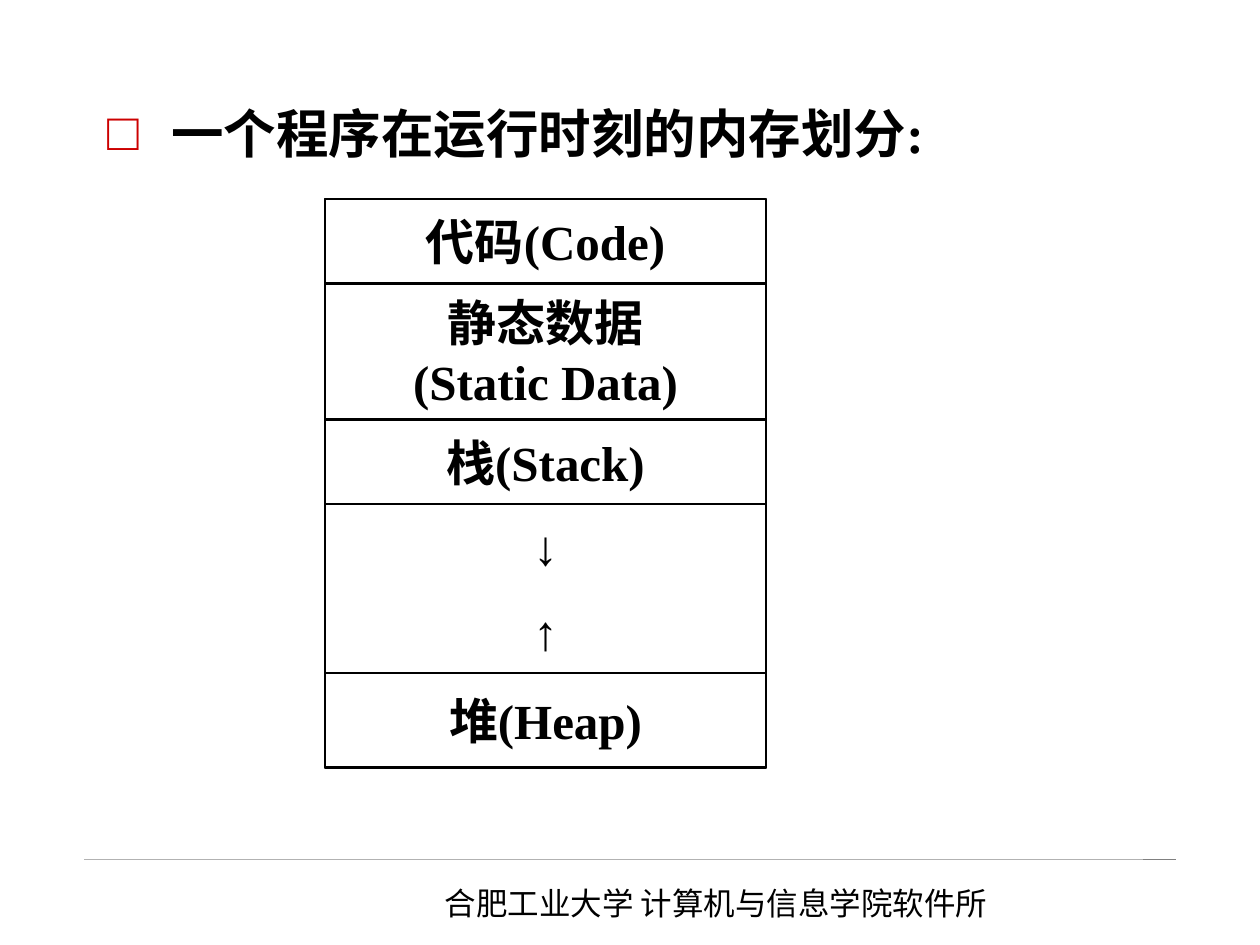
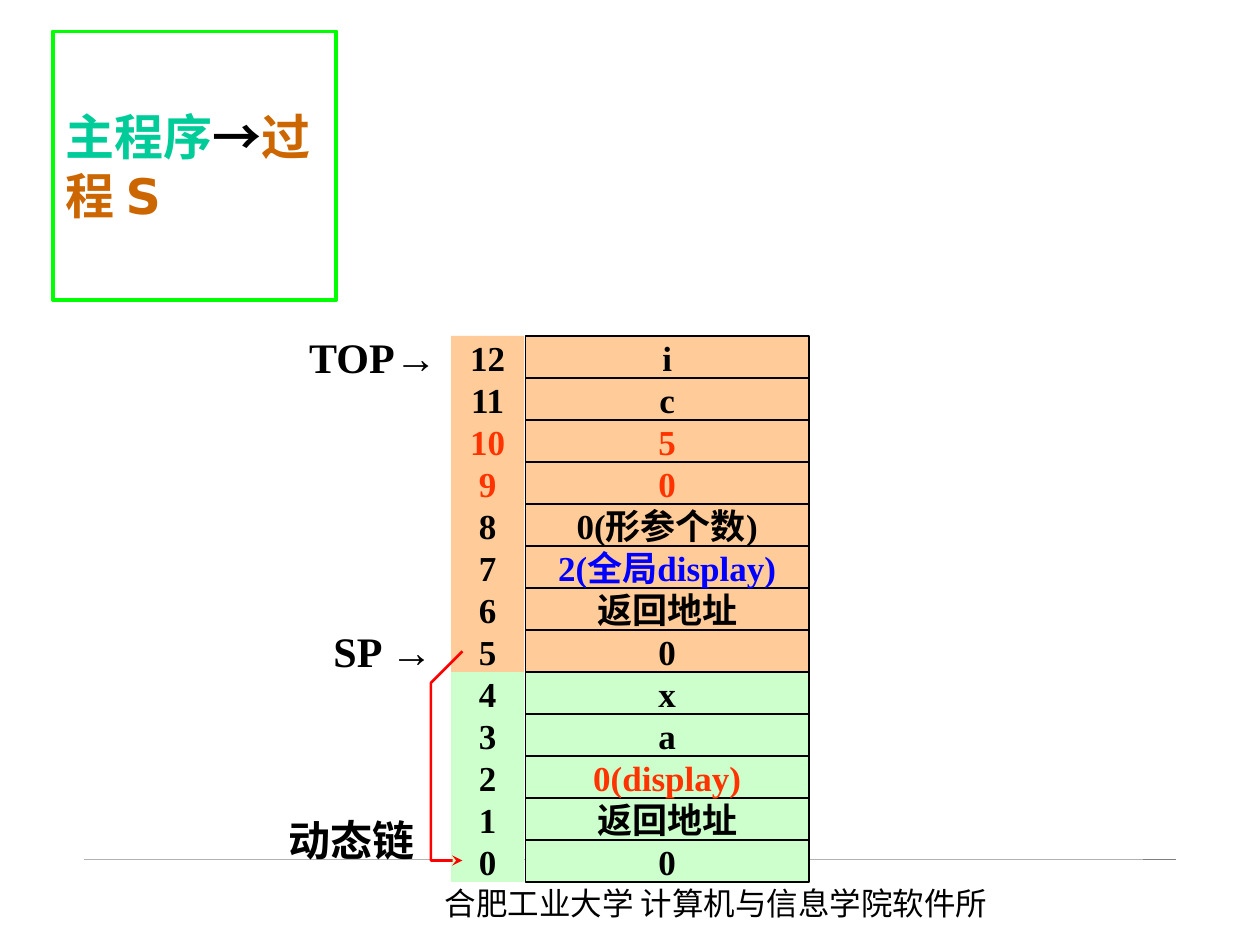
"""Build two slides on run-time memory layout and the activation record stack."""
from lxml import etree
from pptx import Presentation
from pptx.dml.color import RGBColor
from pptx.enum import shapes, text
from pptx.oxml import ns
from pptx.util import Inches, Pt

COLORS = {
    "ink": "000000", "rule": "B2B2B2", "rule_end": "808080", "bullet": "CC0000",
    "main": "CCFFCC", "procedure": "FFCC99", "changed": "FF3300", "display": "0000FF",
    "frame": "00FF00", "teal": "00CC99", "brown": "CC6600", "link": "FF0000",
}
SERIF, SANS, HAN, TITLE = "Times New Roman", "Arial", "Noto Sans CJK SC", "DejaVu Sans"


def write(box, paragraphs, size, bold=True, align=text.PP_ALIGN.CENTER,
          anchor=text.MSO_ANCHOR.MIDDLE, wrap=False, inset=0.05):
    """Fill a box with paragraphs, each a list of (words, font, colour) spans."""
    frame = box.text_frame
    layout = {
        "word_wrap": wrap, "vertical_anchor": anchor, "auto_size": text.MSO_AUTO_SIZE.NONE,
        "margin_left": Inches(0.1), "margin_right": Inches(0.1),
        "margin_top": Inches(inset), "margin_bottom": Inches(inset),
    }
    for name, value in layout.items():
        setattr(frame, name, value)
    for index, spans in enumerate(paragraphs):
        para = frame.add_paragraph() if index else frame.paragraphs[0]
        para.alignment, para.space_before = align, Pt(0)
        for words, font, color in spans:
            span = para.add_run()
            span.text = words
            for name, value in {"name": font, "size": Pt(size), "bold": bold}.items():
                setattr(span.font, name, value)
            span.font.color.rgb = RGBColor.from_string(COLORS[color])
            latin = span.font._element.find(ns.qn("a:latin"))
            east_asian = etree.Element(ns.qn("a:ea"), typeface=HAN)
            latin.addnext(east_asian)


def add_rect(canvas, place, fill=None, line_width=None):
    """Add a rectangle with an optional fill and black outline."""
    box = canvas.add_shape(shapes.MSO_SHAPE.RECTANGLE, *map(Inches, place))
    box.shadow.inherit = False
    if fill:
        box.fill.solid()
        box.fill.fore_color.rgb = RGBColor.from_string(COLORS[fill])
    else:
        box.fill.background()
    if line_width:
        box.line.color.rgb = RGBColor.from_string(COLORS["ink"])
        box.line.width = Pt(line_width)
    else:
        box.line.fill.background()
    return box


deck = Presentation()
deck.slide_width, deck.slide_height = Inches(10), Inches(7.5)
memory_page = deck.slides.add_slide(deck.slide_layouts[1])
stack_page = deck.slides.add_slide(deck.slide_layouts[5])

for page in (memory_page, stack_page):
    for start, end, color in ((0.67, 9.33, "rule"), (9.07, 9.33, "rule_end")):
        rule = page.shapes.add_connector(
            shapes.MSO_CONNECTOR.STRAIGHT, *map(Inches, (start, 6.82, end, 6.82)))
        rule.line.color.rgb = RGBColor.from_string(COLORS[color])
        rule.line.width = Pt(0.25)
        etree.SubElement(rule._element.spPr, ns.qn("a:effectLst"))
    footer = page.shapes.add_textbox(*map(Inches, (3.43, 6.97, 4.88, 0.4)))
    write(footer, [[("合肥工业大学 计算机与信息学院软件所", HAN, "ink")]], 18, bold=False,
          align=text.PP_ALIGN.LEFT, anchor=text.MSO_ANCHOR.TOP, wrap=True)

empty_title = memory_page.shapes.title._element
empty_title.getparent().remove(empty_title)
heading = memory_page.placeholders[1]
heading.left, heading.top, heading.width, heading.height = map(Inches, (0.75, 0.75, 8.58, 0.75))
write(heading, [[("一个程序在运行时刻的内存划分:", SERIF, "ink")]], 30,
      align=text.PP_ALIGN.LEFT, anchor=text.MSO_ANCHOR.TOP, wrap=True)
properties = heading.text_frame.paragraphs[0]._p.get_or_add_pPr()
properties.set("marL", str(Inches(0.51)))
properties.set("indent", str(Inches(-0.51)))
bullet_color = etree.SubElement(properties, ns.qn("a:buClr"))
etree.SubElement(bullet_color, ns.qn("a:srgbClr"), val=COLORS["bullet"])
etree.SubElement(properties, ns.qn("a:buFont"), typeface=SANS)
etree.SubElement(properties, ns.qn("a:buChar"), char="□")

MEMORY_LEFT, MEMORY_TOP, MEMORY_WIDTH = 2.58, 1.58, 3.5
memory_areas = [
    (["代码(Code)"], 0.67), (["静态数据", "(Static Data)"], 1.08), (["栈(Stack)"], 0.67),
    (["↓"], 0.67), (["↑"], 0.67), (["堆(Heap)"], 0.75),
]
top = MEMORY_TOP
for lines, height in memory_areas:
    place = (MEMORY_LEFT, top, MEMORY_WIDTH, height)
    if lines[0] in "↓↑":
        area, font = memory_page.shapes.add_textbox(*map(Inches, place)), SANS
    else:
        area, font = add_rect(memory_page.shapes, place, line_width=1.5), SERIF
    write(area, [[(line, font, "ink")] for line in lines], 28)
    top += height
add_rect(memory_page.shapes, (MEMORY_LEFT, MEMORY_TOP, MEMORY_WIDTH, top - MEMORY_TOP),
         line_width=1.5)

title = stack_page.shapes.title
title.left, title.top, title.width, title.height = map(Inches, (0.42, 0.25, 2.25, 2.13))
title.line.color.rgb = RGBColor.from_string(COLORS["frame"])
title.line.width = Pt(2.25)
write(title, [[("主程序", TITLE, "teal"), ("→", SANS, "ink"), ("过程 S", TITLE, "brown")]], 28,
      align=text.PP_ALIGN.LEFT, wrap=True)

ROW_HEIGHT, STACK_BOTTOM, PROCEDURE_BASE = 1 / 3, 7, 5
stack_values = ["0", "返回地址", "0(display)", "a", "x", "0", "返回地址", "2(全局display)",
                "0(形参个数)", "0", "5", "c", "i"]
value_colors = {2: "changed", 7: "display", 9: "changed", 10: "changed"}
for address, value in enumerate(stack_values):
    row_top = STACK_BOTTOM - (address + 1) * ROW_HEIGHT
    fill = "procedure" if address >= PROCEDURE_BASE else "main"
    row = stack_page.shapes.add_group_shape().shapes
    value_box = add_rect(row, (4.17, row_top, 2.25, ROW_HEIGHT), fill, 1)
    write(value_box, [[(value, SERIF, value_colors.get(address, "ink"))]], 20, inset=0)
    address_box = add_rect(row, (3.58, row_top, 0.58, ROW_HEIGHT), fill)
    address_color = "changed" if address in (9, 10) else "ink"
    write(address_box, [[(str(address), SERIF, address_color)]], 20, inset=0)

pointer_labels = [
    (2.25, 2.67, [("TOP", SERIF, "ink"), ("→", SANS, "ink")]),
    (2.33, 5, [("SP ", SERIF, "ink"), ("→", SANS, "ink")]),
    (2.08, 6.5, [("动态链", SERIF, "ink")]),
]
for left, label_top, spans in pointer_labels:
    label = stack_page.shapes.add_textbox(*map(Inches, (left, label_top, 1.42, 0.33)))
    write(label, [spans], 24)

outline = stack_page.shapes.build_freeform(Inches(3.67), Inches(5.17))
corners = [(3.42, 5.42), (3.42, 6.83), (3.67, 6.83)]
outline.add_line_segments([(Inches(x), Inches(y)) for x, y in corners], close=False)
dynamic_link = outline.convert_to_shape()
dynamic_link.shadow.inherit = False
dynamic_link.fill.background()
dynamic_link.line.color.rgb = RGBColor.from_string(COLORS["link"])
dynamic_link.line.width = Pt(1.5)
etree.SubElement(dynamic_link.line._get_or_add_ln(), ns.qn("a:tailEnd"), type="stealth")

deck.save("out.pptx")
